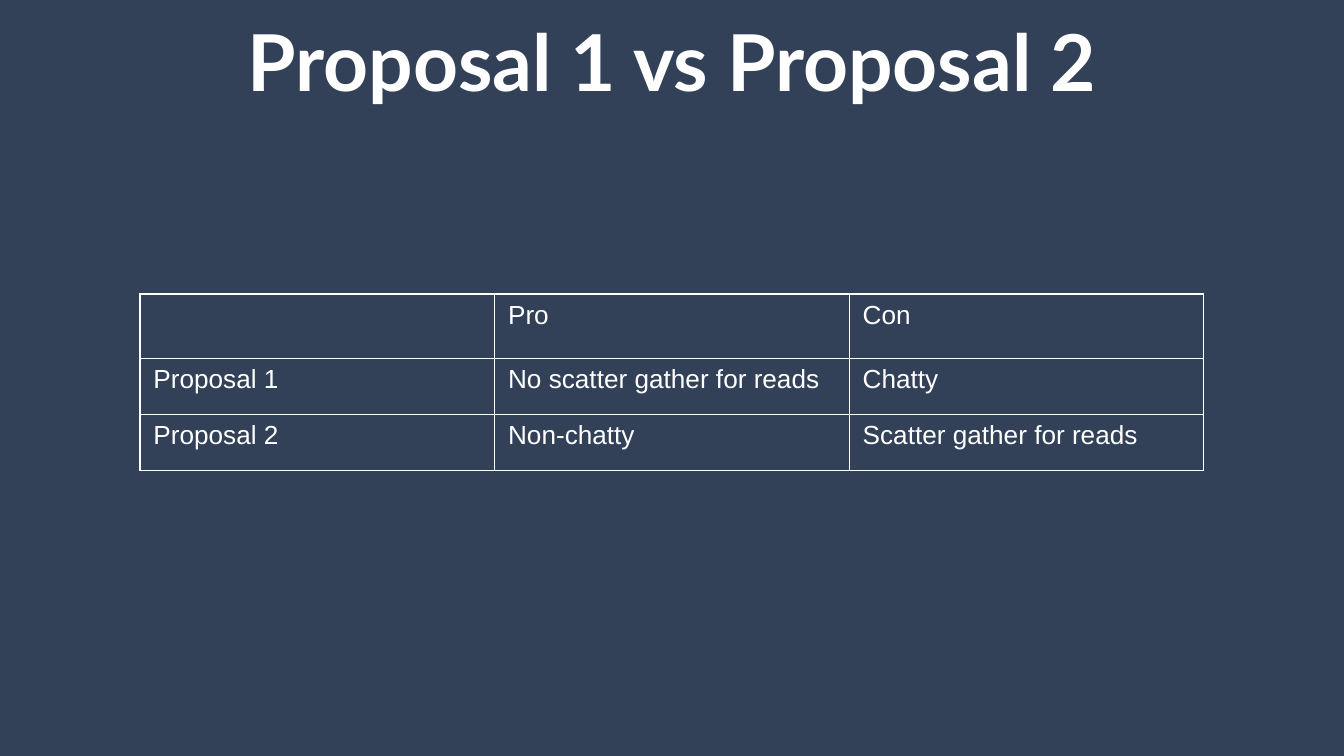
from dataclasses import dataclass

from lxml import etree
from pptx import Presentation
from pptx import util as u
from pptx.dml.color import RGBColor
from pptx.enum import text
from pptx.oxml import ns

NAVY = "324158"
WHITE = "FFFFFF"


@dataclass
class Row:
    height: float
    cells: tuple[str, ...]


ROWS = [
    Row(34.4, ("", "Pro", "Con")),
    Row(30.2, ("Proposal 1", "No scatter gather for reads", "Chatty")),
    Row(30.2, ("Proposal 2", "Non-chatty", "Scatter gather for reads")),
]
COLUMN_WIDTH = 190


def color(value: str) -> RGBColor:
    return RGBColor.from_string(value)


def add_run(p, words: str, font: str, size: float, bold: bool = False) -> None:
    r = p.add_run()
    r.text = words
    r.font.name, r.font.size, r.font.bold = font, u.Pt(size), bold
    r.font.color.rgb = color(WHITE)


def set_borders(cell, value: str, width: float) -> None:
    props = cell._tc.get_or_add_tcPr()
    for i, side in enumerate(("lnL", "lnR", "lnT", "lnB")):
        line = etree.Element(ns.qn(f"a:{side}"), w=str(u.Pt(width)))
        fill = etree.SubElement(line, ns.qn("a:solidFill"))
        etree.SubElement(fill, ns.qn("a:srgbClr"), val=value)
        props.insert(i, line)


def add_title(s, words: str) -> None:
    sp = s.shapes.add_textbox(u.Pt(24.5), u.Pt(0), u.Pt(671), u.Pt(45.4))
    tf = sp.text_frame
    tf.word_wrap = True
    tf.vertical_anchor = text.MSO_ANCHOR.TOP
    tf.margin_left = tf.margin_right = tf.margin_top = tf.margin_bottom = u.Pt(7.2)
    p = tf.paragraphs[0]
    p.alignment = text.PP_ALIGN.CENTER
    add_run(p, words, "Lato", 42, bold=True)


def add_comparison(s, rows: list[Row]) -> None:
    columns = len(rows[0].cells)
    height = sum(row.height for row in rows)
    table = s.shapes.add_table(len(rows), columns, u.Pt(75), u.Pt(157.5),
                               u.Pt(columns * COLUMN_WIDTH), u.Pt(height)).table
    table.first_row = table.horz_banding = False
    for column in table.columns:
        column.width = u.Pt(COLUMN_WIDTH)
    for i, row in enumerate(rows):
        table.rows[i].height = u.Pt(row.height)
        for j, words in enumerate(row.cells):
            cell = table.cell(i, j)
            cell.fill.background()
            set_borders(cell, WHITE, 0.75)
            if words:
                add_run(cell.text_frame.paragraphs[0], words, "Arial", 14)


def main() -> None:
    prs = Presentation()
    prs.slide_width, prs.slide_height = u.Pt(720), u.Pt(405)
    s = prs.slides.add_slide(prs.slide_layouts[6])

    # Background
    s.background.fill.solid()
    s.background.fill.fore_color.rgb = color(NAVY)

    # Title and comparison table
    add_title(s, "Proposal 1 vs Proposal 2")
    add_comparison(s, ROWS)

    prs.save("out.pptx")


if __name__ == "__main__":
    main()
